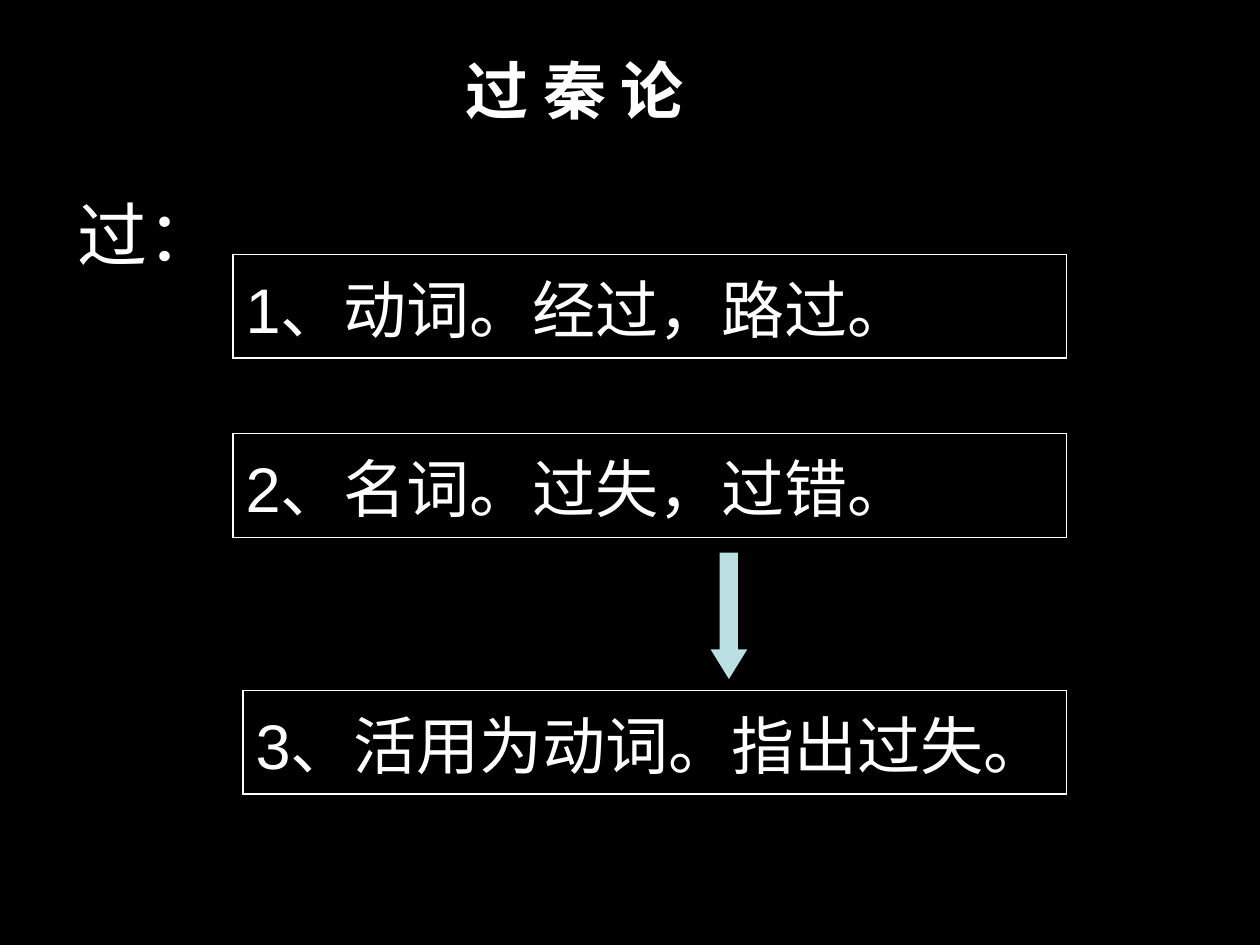
from lxml.etree import SubElement
from pptx import Presentation
from pptx.dml.color import RGBColor
from pptx.enum.shapes import MSO_SHAPE
from pptx.enum.text import MSO_ANCHOR, PP_ALIGN
from pptx.oxml.ns import qn
from pptx.util import Cm, Pt

BLACK = RGBColor(0, 0, 0)
WHITE = RGBColor(255, 255, 255)
PALE_BLUE = RGBColor(0xBB, 0xE0, 0xE3)

HEADING = "过 秦 论"
TERM = "过："
RIGHT_EDGE = 21.5
MEANINGS = [
    ("1、动词。经过，路过。", 4.7, 5.13),
    ("2、名词。过失，过错。", 4.7, 8.74),
    ("3、活用为动词。指出过失。", 4.9, 13.92),
]


def write(tf, text, size, align=PP_ALIGN.LEFT, bold=False):
    tf.word_wrap = True
    p = tf.paragraphs[0]
    p.text = text
    p.alignment = align
    p.font.name = "Arial"
    p.font.size = Pt(size)
    p.font.bold = bold
    p.font.color.rgb = WHITE


def add_border(cell):
    tcPr = cell._tc.get_or_add_tcPr()
    for i, side in enumerate(("a:lnL", "a:lnR", "a:lnT", "a:lnB")):
        ln = tcPr.makeelement(qn(side), {"w": str(Pt(1.08))})
        tcPr.insert(i, ln)
        fill = SubElement(ln, qn("a:solidFill"))
        SubElement(fill, qn("a:srgbClr"), val=str(WHITE))


def add_meaning(s, text, left, top):
    width = Cm(RIGHT_EDGE - left)
    table = s.shapes.add_table(1, 1, Cm(left), Cm(top), width, Cm(1.78)).table
    table.first_row = False
    table.horz_banding = False
    cell = table.cell(0, 0)
    cell.fill.background()
    add_border(cell)
    write(cell.text_frame, text, 36)


prs = Presentation()
prs.slide_width, prs.slide_height = Cm(25.4), Cm(19.05)
s = prs.slides.add_slide(prs.slide_layouts[5])
s.background.fill.solid()
s.background.fill.fore_color.rgb = BLACK

title = s.shapes.title
title.left, title.top, title.width, title.height = Cm(1.3), Cm(3.12), Cm(3.6), Cm(3.18)
title.text_frame.vertical_anchor = MSO_ANCHOR.MIDDLE
write(title.text_frame, TERM, 40)

for meaning in MEANINGS:
    add_meaning(s, *meaning)

arrow = s.shapes.add_shape(MSO_SHAPE.DOWN_ARROW, Cm(14.3), Cm(11.13), Cm(0.79), Cm(2.59))
arrow.shadow.inherit = False
arrow.adjustments[0] = 0.5
arrow.adjustments[1] = 0.81
arrow.fill.solid()
arrow.fill.fore_color.rgb = PALE_BLUE
arrow.line.color.rgb = BLACK
arrow.line.width = Pt(0.75)

heading = s.shapes.add_shape(MSO_SHAPE.RECTANGLE, Cm(5.49), Cm(0.91), Cm(12.19), Cm(4.11))
heading.shadow.inherit = False
heading.fill.solid()
heading.fill.fore_color.rgb = BLACK
heading.line.fill.background()
heading.text_frame.vertical_anchor = MSO_ANCHOR.TOP
write(heading.text_frame, HEADING, 36, PP_ALIGN.CENTER, True)

prs.save("out.pptx")
